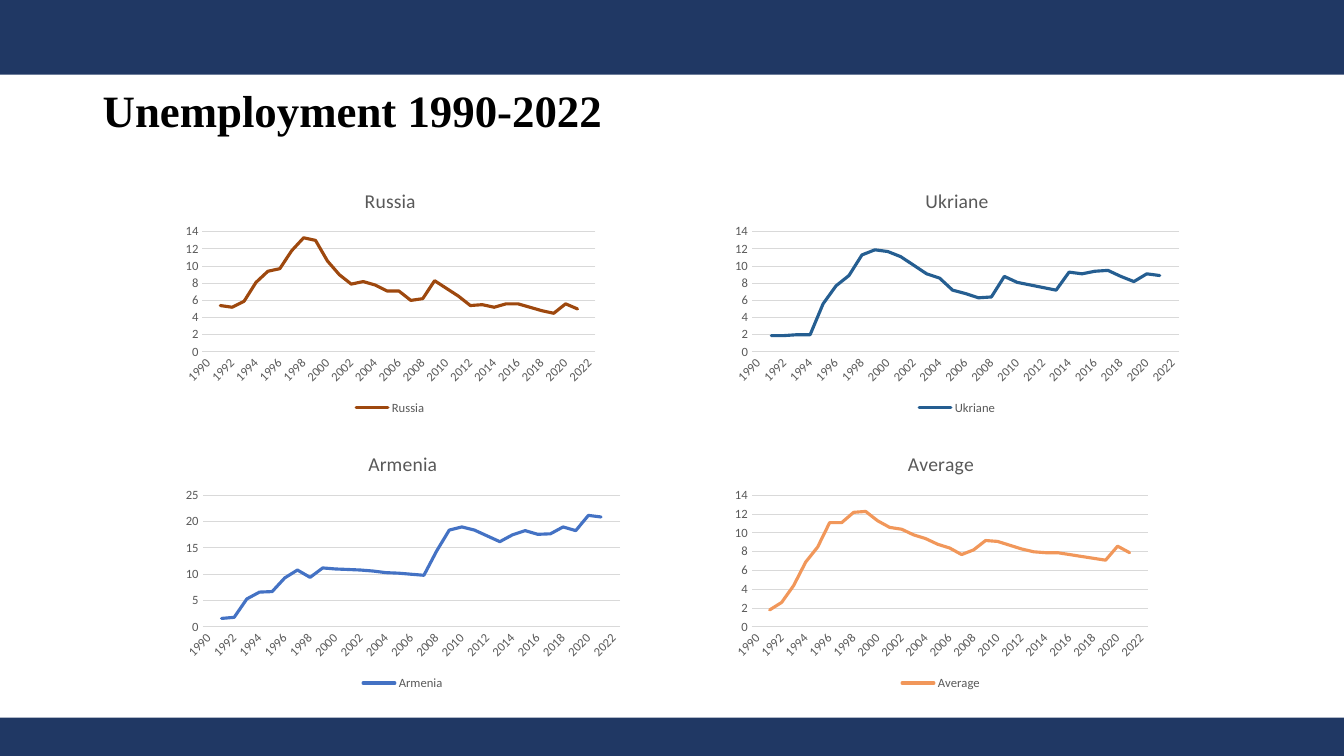
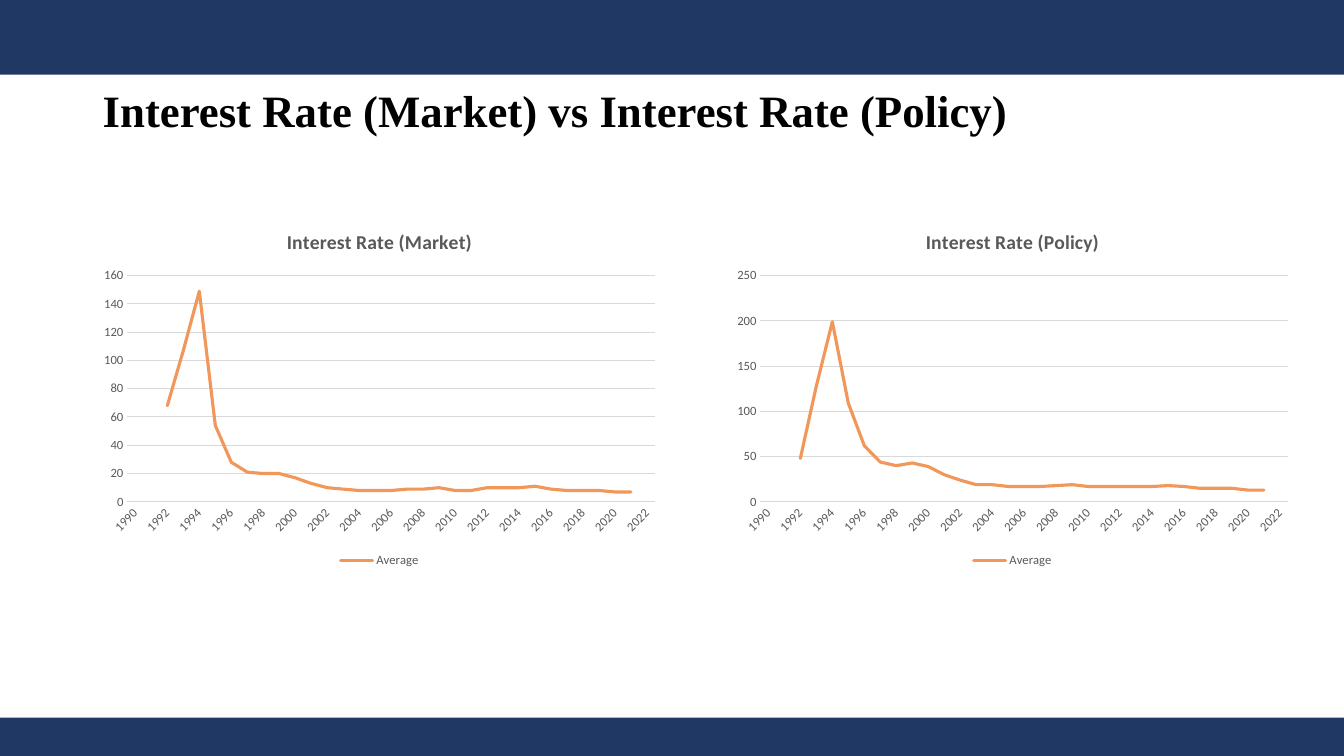
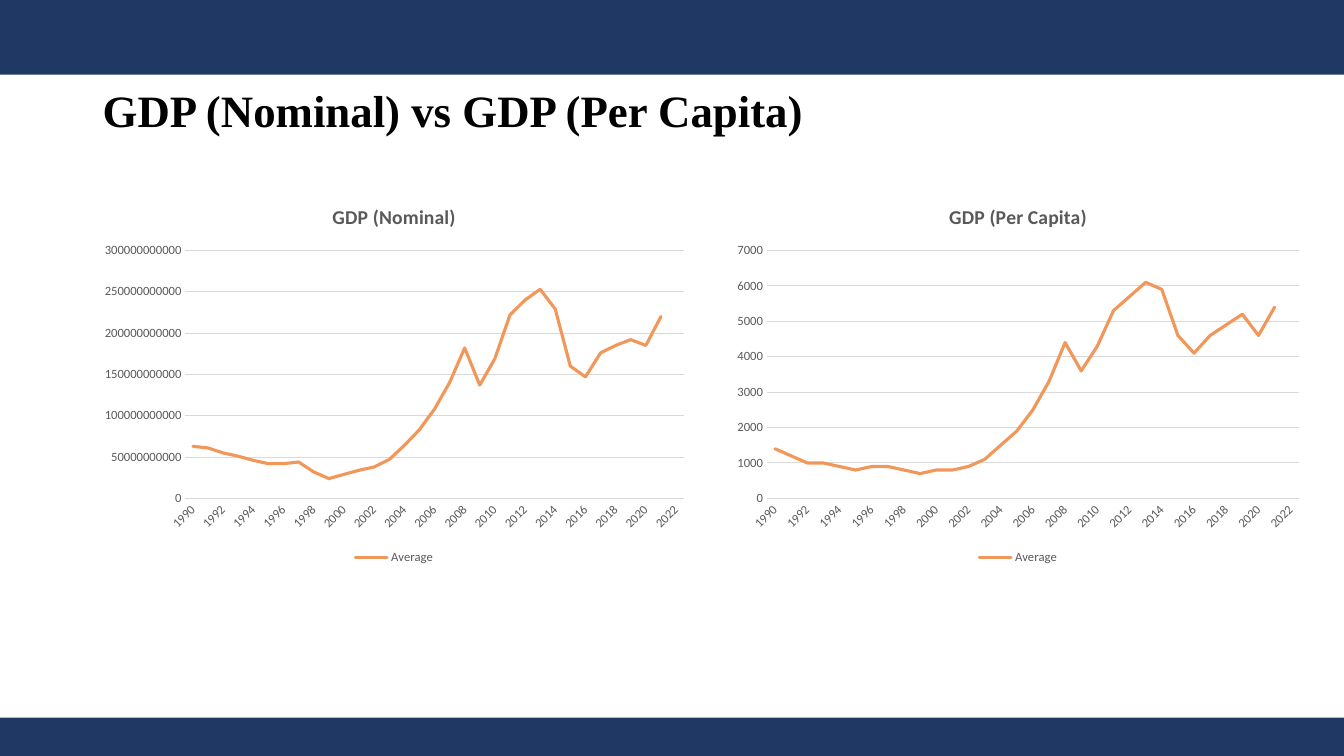
from pptx import Presentation
from pptx.chart.data import CategoryChartData
from pptx.dml.color import RGBColor
from pptx.enum.chart import XL_CHART_TYPE, XL_LEGEND_POSITION, XL_TICK_MARK
from pptx.enum.shapes import MSO_SHAPE
from pptx.enum.text import MSO_ANCHOR
from pptx.oxml.ns import qn
from pptx.util import Inches, Pt

LINE = XL_CHART_TYPE.LINE
BOTTOM = XL_LEGEND_POSITION.BOTTOM
NO_TICK = XL_TICK_MARK.NONE
RECT = MSO_SHAPE.RECTANGLE
MIDDLE = MSO_ANCHOR.MIDDLE

WIDE, HIGH = Inches(13.33), Inches(7.5)
COLORS = {"navy": "203864", "ink": "000000", "gray": "595959", "grid": "D9D9D9",
          "rust": "9E480E", "teal": "255E91", "blue": "4472C4", "peach": "F1975A"}
HEAD, BODY = "Times New Roman", "Calibri"
YEARS = [str(year) for year in range(1990, 2023)]

# Left edges of the chart columns, in percent of the slide's width
EDGE, INNER, RIGHT = 6.9, 13.13, 54

# Yearly values; the first year of each run is given where it is plotted
RUSSIA = [5.4, 5.2, 5.9, 8.1, 9.4, 9.7, 11.8, 13.3, 13, 10.6, 9, 7.9, 8.2, 7.8, 7.1, 7.1,
          6, 6.2, 8.3, 7.4, 6.5, 5.4, 5.5, 5.2, 5.6, 5.6, 5.2, 4.8, 4.5, 5.6, 5]
UKRAINE = [1.9, 1.9, 2, 2, 5.6, 7.7, 8.9, 11.3, 11.9, 11.7, 11.1, 10.1, 9.1, 8.6, 7.2, 6.8,
           6.3, 6.4, 8.8, 8.1, 7.8, 7.5, 7.2, 9.3, 9.1, 9.4, 9.5, 8.8, 8.2, 9.1, 8.9]
ARMENIA = [1.6, 1.8, 5.3, 6.6, 6.7, 9.3, 10.8, 9.4, 11.2, 11, 10.9, 10.8, 10.6, 10.3, 10.2, 10,
           9.8, 14.4, 18.4, 19, 18.4, 17.3, 16.2, 17.5, 18.3, 17.6, 17.7, 19, 18.3, 21.2, 20.9]
JOBLESS = [1.8, 2.6, 4.4, 6.9, 8.5, 11.1, 11.1, 12.2, 12.3, 11.3, 10.6, 10.4, 9.8, 9.4, 8.8, 8.4,
           7.7, 8.2, 9.2, 9.1, 8.7, 8.3, 8, 7.9, 7.9, 7.7, 7.5, 7.3, 7.1, 8.6, 7.9]
MARKET = [68, 107, 149, 54, 28, 21, 20, 20, 17, 13, 10, 9, 8, 8, 8, 9, 9, 10, 8, 8,
          10, 10, 10, 11, 9, 8, 8, 8, 7, 7]
POLICY = [48, 128, 199, 109, 62, 44, 40, 43, 39, 30, 24, 19, 19, 17, 17, 17, 18, 19, 17, 17,
          17, 17, 17, 18, 17, 15, 15, 15, 13, 13]
BILLIONS = [63, 61, 55, 51, 46, 42, 42, 44, 32, 24, 29, 34, 38, 47, 64, 83, 108, 140, 182, 137,
            169, 222, 240, 253, 229, 160, 147, 176, 185, 192, 185, 220]
NOMINAL = [value * 10**9 for value in BILLIONS]
CAPITA = [1400, 1200, 1000, 1000, 900, 800, 900, 900, 800, 700, 800, 800, 900, 1100, 1500, 1900,
          2500, 3300, 4400, 3600, 4300, 5300, 5700, 6100, 5900, 4600, 4100, 4600, 4900, 5200,
          4600, 5400]


def rgb(name):
    return RGBColor.from_string(COLORS[name])


def place(left, top, width, height):
    """Turn percentages of the slide into lengths."""
    return (int(WIDE * left / 100), int(HIGH * top / 100),
            int(WIDE * width / 100), int(HIGH * height / 100))


def style(font, size=9, color="gray", face=BODY, bold=False):
    font.size, font.name, font.bold = Pt(size), face, bold
    font.color.rgb = rgb(color)


def write(frame, text, space=None, **form):
    para = frame.paragraphs[0]
    para.line_spacing = space
    run = para.add_run()
    run.text = text
    style(run.font, **form)


def stroke(line, color, width=0.75):
    line.color.rgb = rgb(color)
    line.width = Pt(width)


def band(slide, top, height):
    bar = slide.shapes.add_shape(RECT, *place(0, top, 100, height))
    bar.shadow.inherit = False
    bar.fill.solid()
    bar.fill.fore_color.rgb = rgb("navy")
    bar.line.fill.background()


def page(deck, title):
    """Start a slide with its bands and its title."""
    slide = deck.slides.add_slide(deck.slide_layouts[6])
    band(slide, 0, 9.87)
    band(slide, 94.93, 5.07)
    frame = slide.shapes.add_textbox(*place(6.9, 5.33, 86.27, 19.33)).text_frame
    frame.word_wrap = True
    frame.vertical_anchor = MIDDLE
    write(frame, title, space=0.9, size=32, color="ink", face=HEAD, bold=True)
    return slide


def plot(slide, box, title, values, name="Average", color="peach", start=1990, bold=True):
    # Data, padded to the full range of years
    data = CategoryChartData()
    data.categories = YEARS
    lead = [None] * (start - 1990)
    tail = [None] * (len(YEARS) - len(lead) - len(values))
    data.add_series(name, lead + values + tail)
    chart = slide.shapes.add_chart(LINE, *place(*box), data).chart
    style(chart.font, size=10, color="ink")

    # Title and legend
    chart.has_title = True
    write(chart.chart_title.text_frame, title, size=14, bold=bold)
    chart.has_legend = True
    chart.legend.position = BOTTOM
    chart.legend.include_in_layout = False
    style(chart.legend.font)

    # Axes
    years, scale = chart.category_axis, chart.value_axis
    for axis in (years, scale):
        axis.major_tick_mark = axis.minor_tick_mark = NO_TICK
        style(axis.tick_labels.font)
        body = axis._element.find(qn("c:txPr")).find(qn("a:bodyPr"))
        body.set("rot", "-60000000")
    stroke(years.format.line, "grid")
    scale.format.line.fill.background()
    stroke(scale.major_gridlines.format.line, "grid")

    # Line
    chart.plots[0].vary_by_categories = False
    series = chart.plots[0].series[0]
    series.smooth = False
    stroke(series.format.line, color, 2.25)
    series._element.find(qn("c:spPr")).find(qn("a:ln")).set("cap", "rnd")


def main():
    deck = Presentation()
    deck.slide_width, deck.slide_height = WIDE, HIGH

    # Unemployment
    slide = page(deck, "Unemployment 1990-2022")
    for name, values, color, left, row, width in (
            ("Russia", RUSSIA, "rust", INNER, 0, 31.81),
            ("Ukriane", UKRAINE, "teal", RIGHT, 0, 34.43),
            ("Armenia", ARMENIA, "blue", INNER, 1, 33.68),
            ("Average", JOBLESS, "peach", RIGHT, 1, 32.03)):
        box = (left, 22.93 + 34.8 * row, width, 32.53 + 1.6 * row)
        plot(slide, box, name, values, name=name, color=color, start=1991, bold=False)

    # Interest rates
    slide = page(deck, "Interest Rate (Market) vs Interest Rate (Policy)")
    for title, values, left in (("Interest Rate (Market)", MARKET, EDGE),
                                ("Interest Rate (Policy)", POLICY, RIGHT)):
        plot(slide, (left, 28.13, 42.69, 47.47), title, values, start=1992)

    # GDP
    slide = page(deck, "GDP (Nominal) vs GDP (Per Capita)")
    for title, values, left, width in (("GDP (Nominal)", NOMINAL, EDGE, 44.86),
                                       ("GDP (Per Capita)", CAPITA, RIGHT, 43.51)):
        plot(slide, (left, 24.67, width, 50.53), title, values)

    deck.save("out.pptx")


if __name__ == "__main__":
    main()
